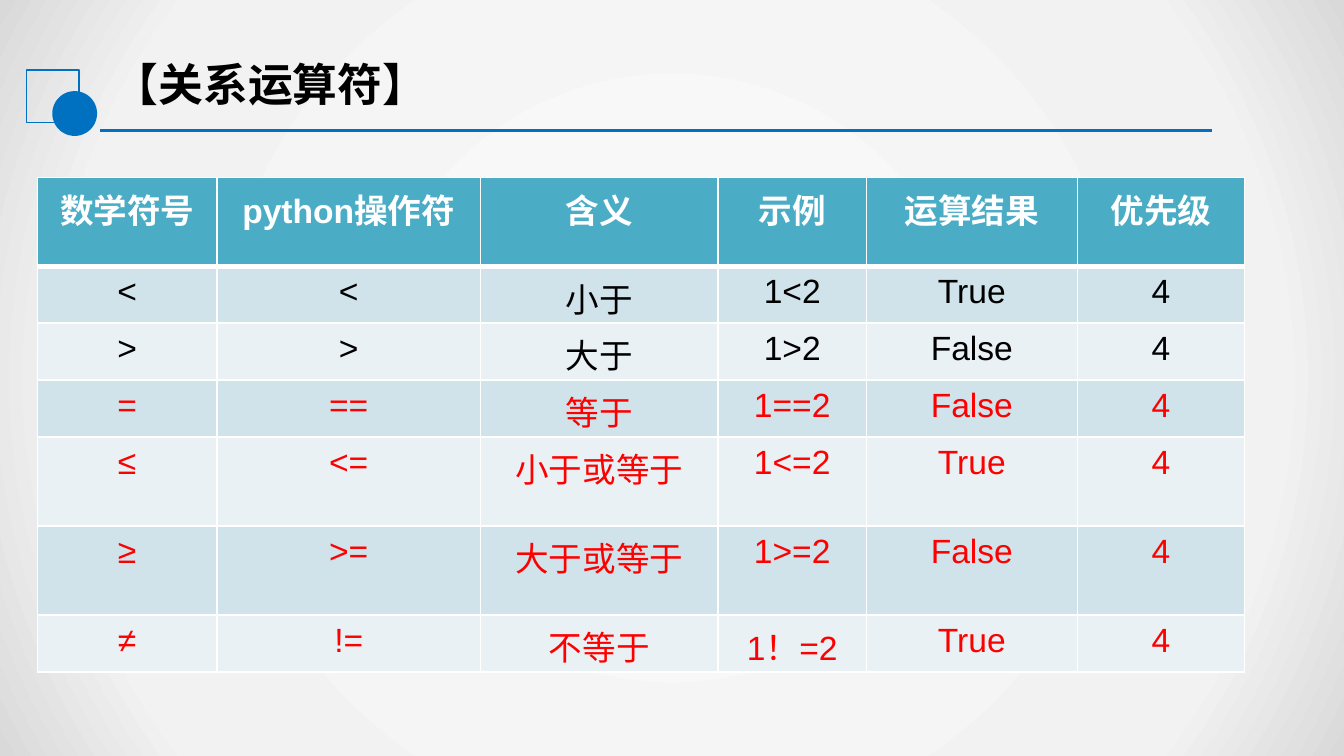
from lxml import etree
from pptx import Presentation
from pptx import oxml
from pptx.dml.color import RGBColor
from pptx.enum import shapes, text
from pptx.oxml import ns
from pptx.util import Pt

COLORS = {
    "accent": "0070C0", "title": "000000", "header": "4BACC6",
    "header_text": "FFFFFF", "border": "FFFFFF", "odd": "D0E3EA",
    "even": "E9F1F5", "body": "000000", "highlight": "FF0000",
}
BACKDROP_STOPS = [(0, "FBFBFB"), (79, "F2F2F2"), (100, "D9D9D9")]
CJK_FONT = "Noto Sans CJK SC"
COLUMN_WIDTHS = [96.3, 141, 127.4, 79.5, 113, 89.6]
TALL, SHORT = 47.7, 30.5
ROW_HEIGHTS = [TALL, SHORT, SHORT, SHORT, TALL, TALL, SHORT]
FIRST_HIGHLIGHT = 3
ROWS = [
    ["数学符号", "python操作符", "含义", "示例", "运算结果", "优先级"],
    ["<", "<", "小于", "1<2", "True", "4"],
    [">", ">", "大于", "1>2", "False", "4"],
    ["=", "==", "等于", "1==2", "False", "4"],
    ["≤", "<=", "小于或等于", "1<=2", "True", "4"],
    ["≥", ">=", "大于或等于", "1>=2", "False", "4"],
    ["≠", "!=", "不等于", "1！=2", "True", "4"],
]


def rgb(name):
    return RGBColor.from_string(COLORS[name])


def write(p, content, color, size, font, bold):
    r = p.add_run()
    r.text = content
    for key, value in {"size": Pt(size), "name": font, "bold": bold}.items():
        setattr(r.font, key, value)
    r.font.color.rgb = rgb(color)
    ea = etree.SubElement(r.font._element, ns.qn("a:ea"))
    ea.set("typeface", CJK_FONT)


def add_shape(s, kind, x, y, w, h, fill=None, line=None):
    sp = s.shapes.add_shape(kind, Pt(x), Pt(y), Pt(w), Pt(h))
    sp.shadow.inherit = False
    if fill:
        sp.fill.solid()
        sp.fill.fore_color.rgb = rgb(fill)
    else:
        sp.fill.background()
    if line:
        sp.line.color.rgb = rgb(line)
        sp.line.width = Pt(0.75)
    else:
        sp.line.fill.background()
    return sp


def add_backdrop(s, x, y, w, h):
    sp = add_shape(s, shapes.MSO_SHAPE.RECTANGLE, x, y, w, h)
    stops = "".join(
        f'<a:gs pos="{pos * 1000}"><a:srgbClr val="{color}"/></a:gs>'
        for pos, color in BACKDROP_STOPS)
    gradient = oxml.parse_xml(
        f'<a:gradFill {ns.nsdecls("a")} rotWithShape="1"><a:gsLst>{stops}</a:gsLst>'
        '<a:path path="circle"><a:fillToRect l="50000" t="50000" r="50000" b="50000"/>'
        '</a:path></a:gradFill>')
    props = sp._element.spPr
    props.replace(props.find(ns.qn("a:noFill")), gradient)


def add_heading(s, x, y, w, h):
    box = s.shapes.add_textbox(Pt(x + 39.6), Pt(y), Pt(329), Pt(36))
    tf = box.text_frame
    tf.word_wrap = True
    tf.vertical_anchor = text.MSO_ANCHOR.MIDDLE
    write(tf.paragraphs[0], "【关系运算符】", "title", 24, CJK_FONT, True)
    add_shape(s, shapes.MSO_SHAPE.RECTANGLE, x, y + 11, 28.2, 28.2, line="accent")
    rule = s.shapes.add_connector(
        shapes.MSO_CONNECTOR.STRAIGHT,
        Pt(x + 39.6), Pt(y + h - 2.8), Pt(x + w), Pt(y + h - 2.8))
    rule.line.color.rgb = rgb("accent")
    rule.line.width = Pt(1.25)
    etree.SubElement(rule._element.spPr, ns.qn("a:effectLst"))
    add_shape(s, shapes.MSO_SHAPE.OVAL, x + 13.8, y + h - 24, 24, 24, fill="accent")


def set_borders(cell, widths):
    props = cell._tc.get_or_add_tcPr()
    for index, (side, width) in enumerate(widths.items()):
        props.insert(index, oxml.parse_xml(
            f'<a:{side} {ns.nsdecls("a")} w="{Pt(width)}"><a:solidFill>'
            f'<a:srgbClr val="{COLORS["border"]}"/></a:solidFill></a:{side}>'))


def add_operator_table(s, x, y, w, h):
    frame = s.shapes.add_table(
        len(ROWS), len(COLUMN_WIDTHS), Pt(x), Pt(y), Pt(w), Pt(h))
    table = frame.table
    for column, width in zip(table.columns, COLUMN_WIDTHS):
        column.width = Pt(width)
    for i, (row, height) in enumerate(zip(table.rows, ROW_HEIGHTS)):
        row.height = Pt(height)
        header = i == 0
        fill = "header" if header else ("odd" if i % 2 else "even")
        color = ("header_text" if header
                 else "highlight" if i >= FIRST_HIGHLIGHT else "body")
        borders = {"lnL": 1, "lnR": 1, "lnT": 3 if i == 1 else 1,
                   "lnB": 3 if header else 1}
        for cell, content in zip(row.cells, ROWS[i]):
            cell.margin_bottom = Pt(0)
            cell.fill.solid()
            cell.fill.fore_color.rgb = rgb(fill)
            set_borders(cell, borders)
            p = cell.text_frame.paragraphs[0]
            p.alignment = text.PP_ALIGN.CENTER
            write(p, content, color, 18, "Arial", header)


def main():
    prs = Presentation()
    prs.slide_width, prs.slide_height = Pt(720), Pt(405)
    s = prs.slides.add_slide(prs.slide_layouts[6])
    add_backdrop(s, 0, 0, 720, 405)
    add_heading(s, 14.2, 26.6, 635.2, 46.2)
    add_operator_table(s, 20, 95, sum(COLUMN_WIDTHS), sum(ROW_HEIGHTS))
    prs.save("out.pptx")


if __name__ == "__main__":
    main()
